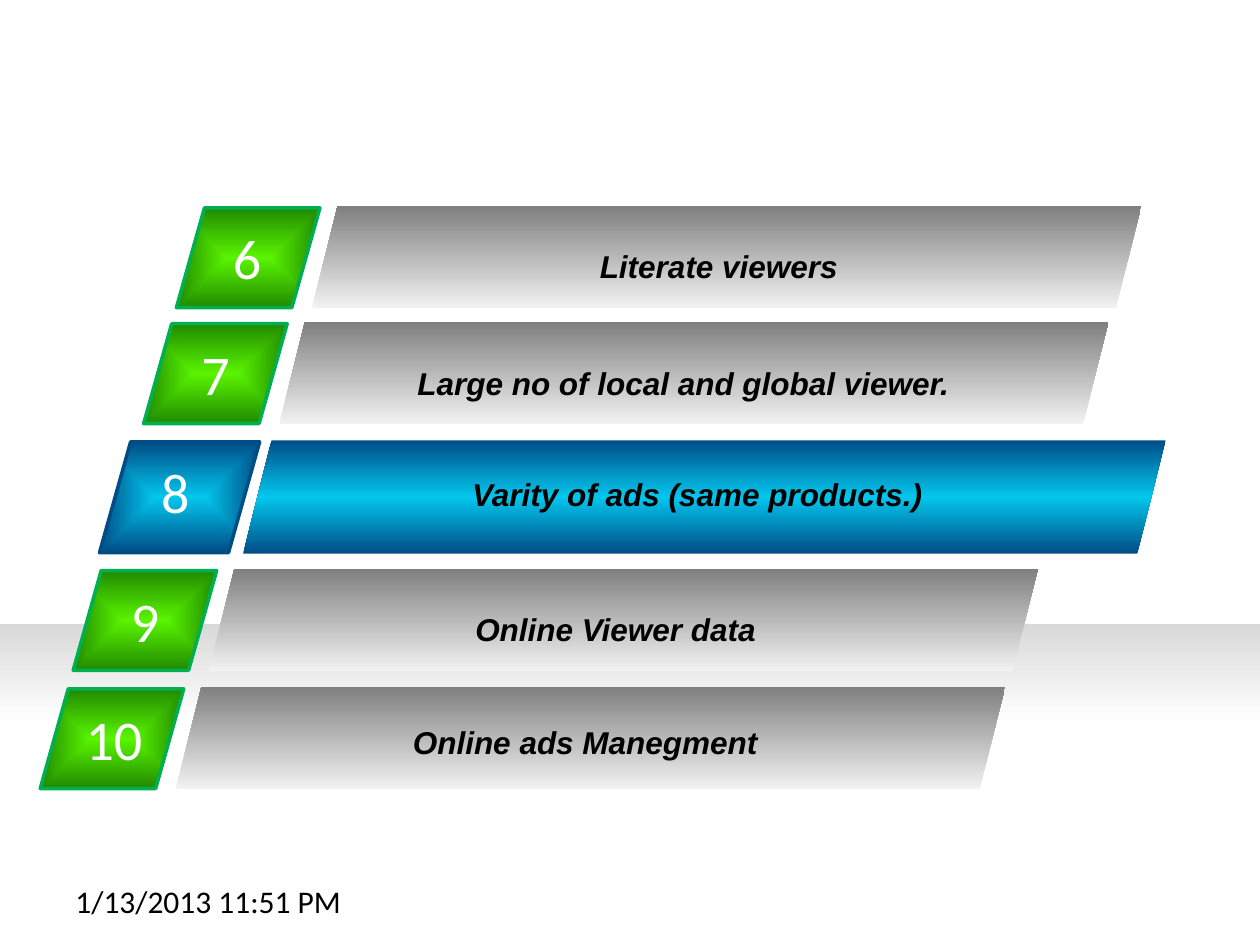
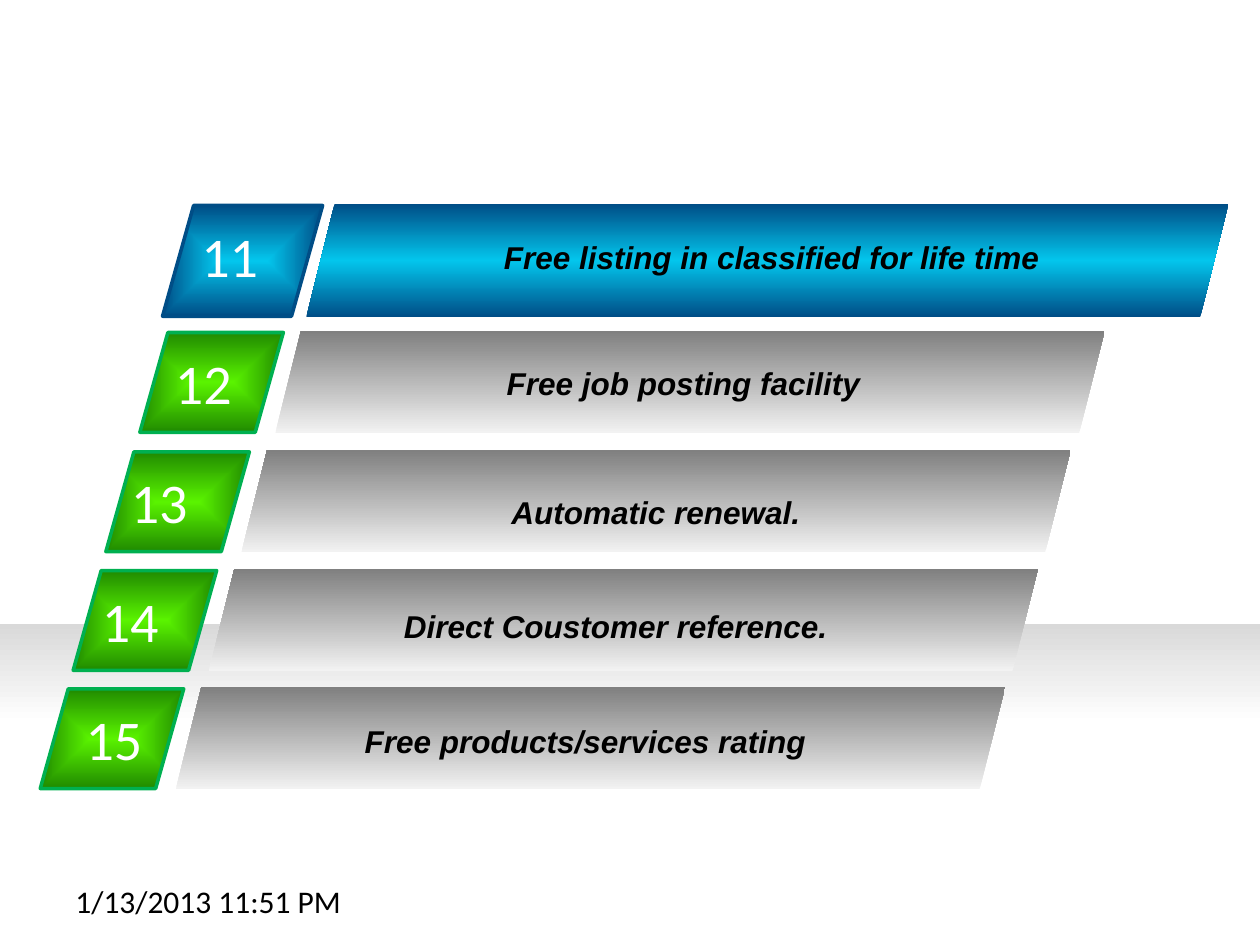
from lxml import etree
from pptx import Presentation
from pptx.dml.color import RGBColor
from pptx.enum.shapes import MSO_SHAPE as Shape
from pptx.enum.text import PP_ALIGN as Align
from pptx.oxml.ns import qn
from pptx.util import Pt

# Content: number, its left; tile left and top; label, its left and top; style
SLIDES = [
    [("6", 126, 100.8, 118.8, "Literate viewers", 198, 137.5, "plain"),
     ("7", 108, 82.1, 185, "Large no of local and global viewer.", 177.8, 204.5, "plain"),
     ("8", 85, 56.9, 252.5, "Varity of ads (same products.)", 162, 267.8, "accent"),
     ("9", 67.7, 41.8, 326, "Online Viewer data", 139, 344.9, "plain"),
     ("10", 41.8, 23, 393.6, "Online ads Manegment", 121.7, 409.7, "plain")],
    [("11", 108, 92.9, 117.4, "Free listing in classified for life time", 204.5, 132.5, "accent"),
     ("12", 92.9, 79.9, 190, "Free job posting facility", 177.8, 204.5, "plain"),
     ("13", 67.7, 60.5, 258.2, "Automatic renewal.", 162, 277.9, "plain"),
     ("14", 51.1, 41.8, 326, "Direct Coustomer reference.", 139, 343.4, "plain"),
     ("15", 41.8, 23, 393.6, "Free products/services rating", 121.7, 409, "plain")],
]
DATE = "1/13/2013 11:51 PM"

# Colours
WHITE, BLACK = RGBColor(255, 255, 255), RGBColor(0, 0, 0)
SILVER = RGBColor(0xD9, 0xD9, 0xD9)
PALE, GREY = RGBColor(0xF2, 0xF2, 0xF2), RGBColor(0x80, 0x80, 0x80)
CYAN, NAVY = RGBColor(0x03, 0xC6, 0xED), RGBColor(0x00, 0x4D, 0x86)
LIME, FOREST = RGBColor(0x5A, 0xF3, 0x00), RGBColor(0x20, 0x8A, 0x00)
GREEN = RGBColor(0x00, 0xB0, 0x50)

# Row styles: sizes are (width, height), bar_dx runs from tile to bar
STYLES = {
    "plain": dict(tile=(82, 57), tile_stops=[(0, LIME), (100, FOREST)], edge=GREEN,
                  bar=(473.8, 58.3), bar_dx=77.5,
                  bar_stops=[(0, PALE), (100, GREY)], label_w=425.5),
    "accent": dict(tile=(91.5, 63.3), tile_stops=[(0, CYAN), (100, NAVY)], edge=NAVY,
                   bar=(527, 64.8), bar_dx=82.1,
                   bar_stops=[(0, NAVY), (50, CYAN), (100, NAVY)], label_w=473),
}
NUMBER = dict(name="Calibri", size=Pt(32))
LABEL = dict(name="Arial", size=Pt(18), bold=True, italic=True)
FOOTER = dict(name="Calibri", size=Pt(18))
TILE_SLANT = 0.281
UP, DOWN = 270, 90


def gradient(s, stops, angle=None):
    """Linear gradient at an angle, or one spreading from the centre."""
    grad = etree.Element(qn("a:gradFill"), rotWithShape="1")
    stop_list = etree.SubElement(grad, qn("a:gsLst"))
    for percent, color in stops:
        stop = etree.SubElement(stop_list, qn("a:gs"), pos=str(percent * 1000))
        etree.SubElement(stop, qn("a:srgbClr"), val=str(color))
    if angle is None:
        shade = etree.SubElement(grad, qn("a:path"), path="shape")
        sides = dict.fromkeys("ltrb", "50000")
        etree.SubElement(shade, qn("a:fillToRect"), **sides)
    else:
        etree.SubElement(grad, qn("a:lin"), ang=str(angle * 60000), scaled="0")
    s._element.spPr.find(qn("a:prstGeom")).addnext(grad)


def add_block(slide, kind, x, y, size, stops, angle=None, edge=None):
    s = slide.shapes.add_shape(kind, Pt(x), Pt(y), Pt(size[0]), Pt(size[1]))
    s.shadow.inherit = False
    gradient(s, stops, angle)
    if edge is None:
        s.line.fill.background()
    else:
        s.line.color.rgb = edge
        s.line.width = Pt(2)
        etree.SubElement(s.line._ln, qn("a:round"))
    return s


def add_text(slide, text, x, y, w, h, font, color=BLACK, align=Align.LEFT):
    tf = slide.shapes.add_textbox(Pt(x), Pt(y), Pt(w), Pt(h)).text_frame
    tf.word_wrap = True
    p = tf.paragraphs[0]
    p.alignment = align
    r = p.add_run()
    r.text = text
    for key, value in font.items():
        setattr(r.font, key, value)
    r.font.color.rgb = color


def add_row(slide, number, number_x, x, y, label, label_x, label_y, style):
    st = STYLES[style]
    tile = add_block(slide, Shape.PARALLELOGRAM, x, y, st["tile"],
                     st["tile_stops"], edge=st["edge"])
    tile.adjustments[0] = TILE_SLANT
    add_text(slide, number, number_x, y + 5.6, 22 * len(number) + 18, 46, NUMBER, WHITE)
    add_block(slide, Shape.PARALLELOGRAM, x + st["bar_dx"], y - 0.9, st["bar"],
              st["bar_stops"], UP)
    add_text(slide, label, label_x, label_y, st["label_w"], 29, LABEL, align=Align.CENTER)


def main():
    prs = Presentation()
    prs.slide_width, prs.slide_height = Pt(720), Pt(540)
    for rows in SLIDES:
        slide = prs.slides.add_slide(prs.slide_layouts[6])
        # Floor band, rows, date
        add_block(slide, Shape.RECTANGLE, 0, 356.4, (720, 145.4),
                  [(0, SILVER), (39, WHITE), (100, WHITE)], DOWN)
        for row in rows:
            add_row(slide, *row)
        add_text(slide, DATE, 36, 500.4, 168, 29, FOOTER)
    prs.save("out.pptx")


if __name__ == "__main__":
    main()
